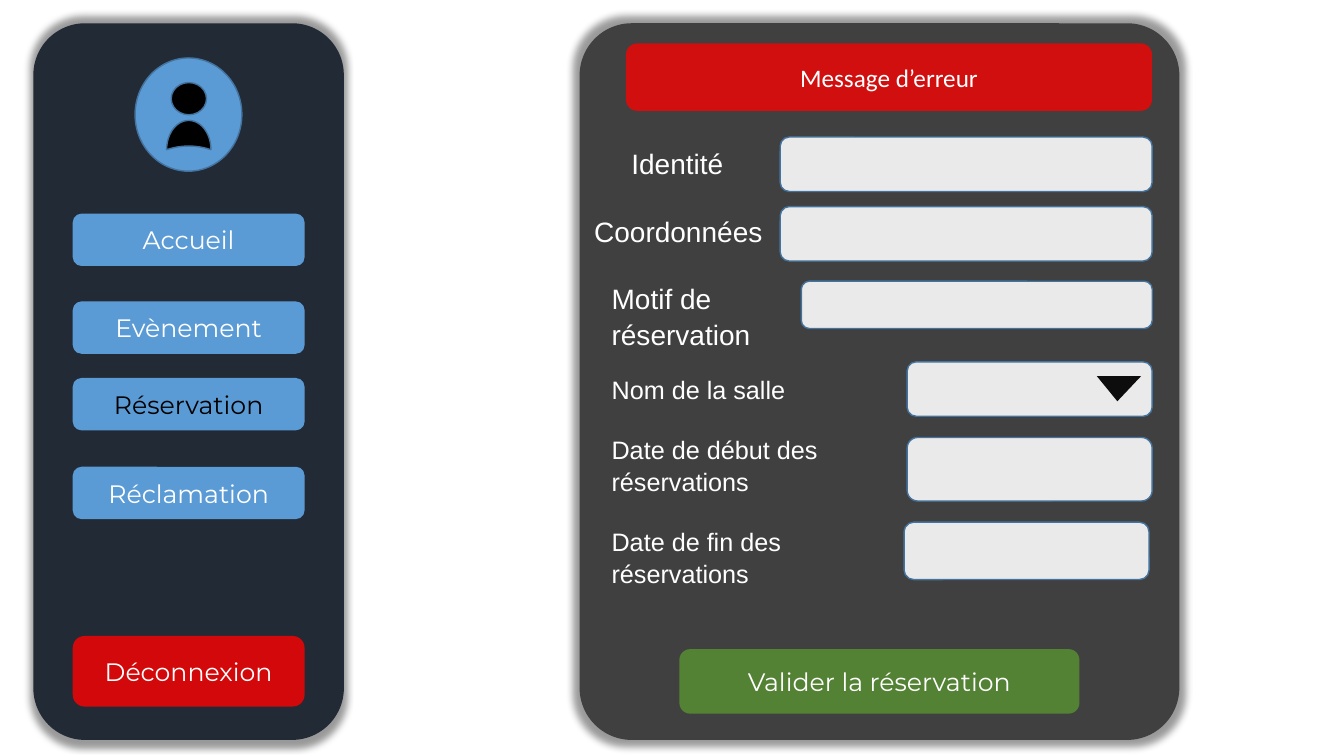
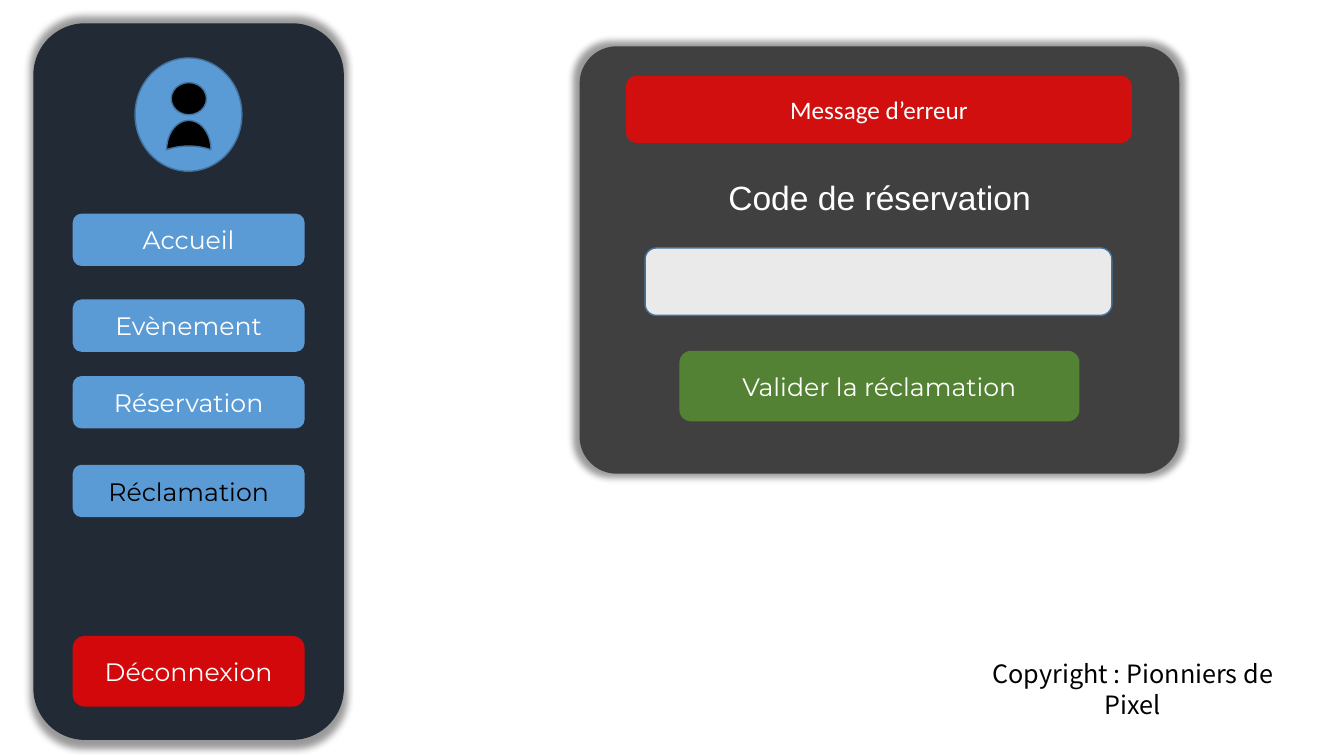
from dataclasses import dataclass
from typing import NamedTuple

from lxml import etree
from pptx import Presentation
from pptx import util as u
from pptx.dml import color
from pptx.enum import shapes, text
from pptx.oxml import ns


class Paint(NamedTuple):
    rgb: str
    opacity: int = 100


@dataclass(frozen=True)
class Theme:
    sidebar: Paint = Paint("222A35")
    panel: Paint = Paint("404040")
    blue: Paint = Paint("5B9BD5")
    outline: Paint = Paint("43739E")
    black: Paint = Paint("000000")
    white: Paint = Paint("FFFFFF")
    arrow: Paint = Paint("0D0D0D")
    field: Paint = Paint("FFFFFF", 89)
    logout: Paint = Paint("FF0000", 80)
    error: Paint = Paint("FF0000", 76)
    submit: Paint = Paint("548235")
    button_font: str = "Montserrat"
    label_font: str = "Arial"
    error_font: str = "Calibri"
    footer_font: str = "Noto Sans CJK JP"
    normal: int = 18
    large: int = 20
    heading: int = 24
    label_spacing: float = 1.07


SHAPE = shapes.MSO_SHAPE
ALIGN = text.PP_ALIGN
MENU = (("Accueil", 152.6), ("Evènement", 215.3), ("Réservation", 270), ("Réclamation", 333.4))


class Mockup:
    """Draws the screens of a booking application with one shared style."""

    def __init__(self, theme):
        self.theme = theme
        self.deck = Presentation()
        self.deck.slide_width, self.deck.slide_height = u.Pt(960), u.Pt(540)
        self.page = None

    def new_page(self, layout_name):
        layout = self.deck.slide_layouts.get_by_name(layout_name)
        self.page = self.deck.slides.add_slide(layout)

    def shape(self, kind, at, paint, outline=None, adjust=None, rotation=0):
        box = self.page.shapes.add_shape(kind, *map(u.Pt, at))
        box.shadow.inherit = False
        box.rotation = rotation
        box.fill.solid()
        box.fill.fore_color.rgb = color.RGBColor.from_string(paint.rgb)
        if paint.opacity < 100:
            fill = box._element.spPr.find(ns.qn("a:solidFill"))
            etree.SubElement(fill[0], ns.qn("a:alpha"), val=str(paint.opacity * 1000))
        if outline:
            box.line.color.rgb = color.RGBColor.from_string(outline.rgb)
            box.line.width = u.Pt(1)
        else:
            box.line.fill.background()
        if adjust is not None:
            box.adjustments[0] = adjust
        return box

    def fill_text(self, box, words, font, size, paint, align=ALIGN.CENTER, spacing=None):
        frame = box.text_frame
        frame.word_wrap = True
        frame.auto_size = text.MSO_AUTO_SIZE.NONE
        frame.vertical_anchor = text.MSO_ANCHOR.MIDDLE
        para = frame.paragraphs[0]
        para.alignment = align
        if spacing:
            para.line_spacing = spacing
        span = para.add_run()
        span.text = words
        span.font.name = font
        span.font.size = u.Pt(size)
        span.font.color.rgb = color.RGBColor.from_string(paint.rgb)

    def panel(self, at, paint, adjust=None):
        box = self.shape(SHAPE.ROUNDED_RECTANGLE, at, paint, adjust=adjust)
        effects = box._element.spPr.find(ns.qn("a:effectLst"))
        shadow = etree.SubElement(
            effects, ns.qn("a:outerShdw"), blurRad=str(u.Pt(5)), sx="102000", sy="102000",
            algn="ctr", rotWithShape="0")
        tint = etree.SubElement(shadow, ns.qn("a:srgbClr"), val=self.theme.black.rgb)
        etree.SubElement(tint, ns.qn("a:alpha"), val="40000")

    def button(self, words, at, paint, font=None, ink=None):
        theme = self.theme
        box = self.shape(SHAPE.ROUNDED_RECTANGLE, at, paint)
        self.fill_text(box, words, font or theme.button_font, theme.normal, ink or theme.white)

    def field(self, at):
        self.shape(SHAPE.ROUNDED_RECTANGLE, at, self.theme.field, self.theme.outline)

    def label(self, words, at, size, align=ALIGN.LEFT):
        box = self.page.shapes.add_textbox(*map(u.Pt, at))
        self.fill_text(box, words, self.theme.label_font, size, self.theme.white, align,
                       self.theme.label_spacing)

    def title(self, words, at):
        box = self.page.shapes.title
        box.left, box.top, box.width, box.height = map(u.Pt, at)
        self.page.shapes._spTree.append(box._element)
        self.fill_text(box, words, self.theme.label_font, self.theme.heading, self.theme.white)

    def footer(self, words, at):
        box = self.page.shapes.add_textbox(*map(u.Pt, at))
        self.fill_text(box, words, self.theme.footer_font, self.theme.normal, self.theme.black,
                       spacing=u.Pt(21.5))

    def sidebar(self, active, shift=0):
        theme = self.theme
        self.panel((23.8, 16.6, 221.8, 511.9), theme.sidebar)
        self.shape(SHAPE.OVAL, (96.5, 41.4, 76.3, 80.9), theme.blue, theme.outline)
        self.shape(SHAPE.OVAL, (122.3, 59, 25.2, 23), theme.black, theme.outline)
        self.shape(SHAPE.MOON, (124.4, 80.6, 20.9, 31.7), theme.black, theme.outline, 0.875, 90)
        for index, (words, top) in enumerate(MENU):
            ink = theme.black if words == active else theme.white
            offset = shift if index else 0
            self.button(words, (52, top + offset, 165.6, 37.4), theme.blue, ink=ink)
        self.button("Déconnexion", (52, 454.3, 165.6, 50.4), theme.logout)

    def form(self, top, height, error_top, error_width):
        theme = self.theme
        self.panel((414, top, 428.4, height), theme.panel, 0.087)
        self.button("Message d’erreur", (447.1, error_top, error_width, 48.2), theme.error,
                    theme.error_font)

    def submit(self, words, top, height):
        self.button(words, (485.3, top, 285.8, height), self.theme.submit)


def reservation(mockup):
    theme = mockup.theme
    mockup.new_page("Blank")
    mockup.sidebar("Réservation")
    mockup.form(16.6, 511.9, 31, 375.8)
    rows = (
        ("Identité", (414, 96.5, 139.7, 38.2), theme.large, ALIGN.CENTER,
         (557.3, 97.9, 265.7, 38.9)),
        ("Coordonnées", (414, 142.6, 141.1, 43.2), theme.large, ALIGN.CENTER,
         (557.3, 147.6, 265.7, 38.9)),
        ("Motif de réservation", (429.8, 204.5, 139.7, 41.8), theme.large, ALIGN.LEFT,
         (572.4, 200.9, 250.6, 33.8)),
        ("Nom de la salle", (429.8, 256.3, 185.8, 41.8), theme.normal, ALIGN.LEFT,
         (648, 258.5, 175, 38.9)),
        ("Date de début des réservations", (429.8, 311, 191.5, 41.8), theme.normal, ALIGN.LEFT,
         (648, 312.5, 175, 45.4)),
        ("Date de fin des réservations", (429.8, 381.6, 191.5, 31.7), theme.normal, ALIGN.LEFT,
         (645.8, 373, 175, 41)),
    )
    for words, label_at, size, align, field_at in rows:
        mockup.field(field_at)
        mockup.label(words, label_at, size, align)
    mockup.shape(SHAPE.ISOSCELES_TRIANGLE, (783.4, 268.6, 31.7, 18), theme.arrow,
                 adjust=0.536, rotation=180)
    mockup.submit("Valider la réservation", 463.7, 46.1)


def complaint(mockup):
    mockup.new_page("Title Only")
    mockup.sidebar("Réclamation", shift=-1.4)
    mockup.form(33.1, 305.3, 54, 361.4)
    mockup.title("Code de réservation", (506.2, 120.2, 244.1, 41.8))
    mockup.field((460.8, 177.1, 333.4, 48.2))
    mockup.submit("Valider la réclamation", 250.6, 50.4)
    mockup.footer("Copyright : Pionniers de Pixel", (681.1, 463.7, 256.3, 56.9))


def main():
    mockup = Mockup(Theme())
    reservation(mockup)
    complaint(mockup)
    mockup.deck.save("out.pptx")


if __name__ == "__main__":
    main()
